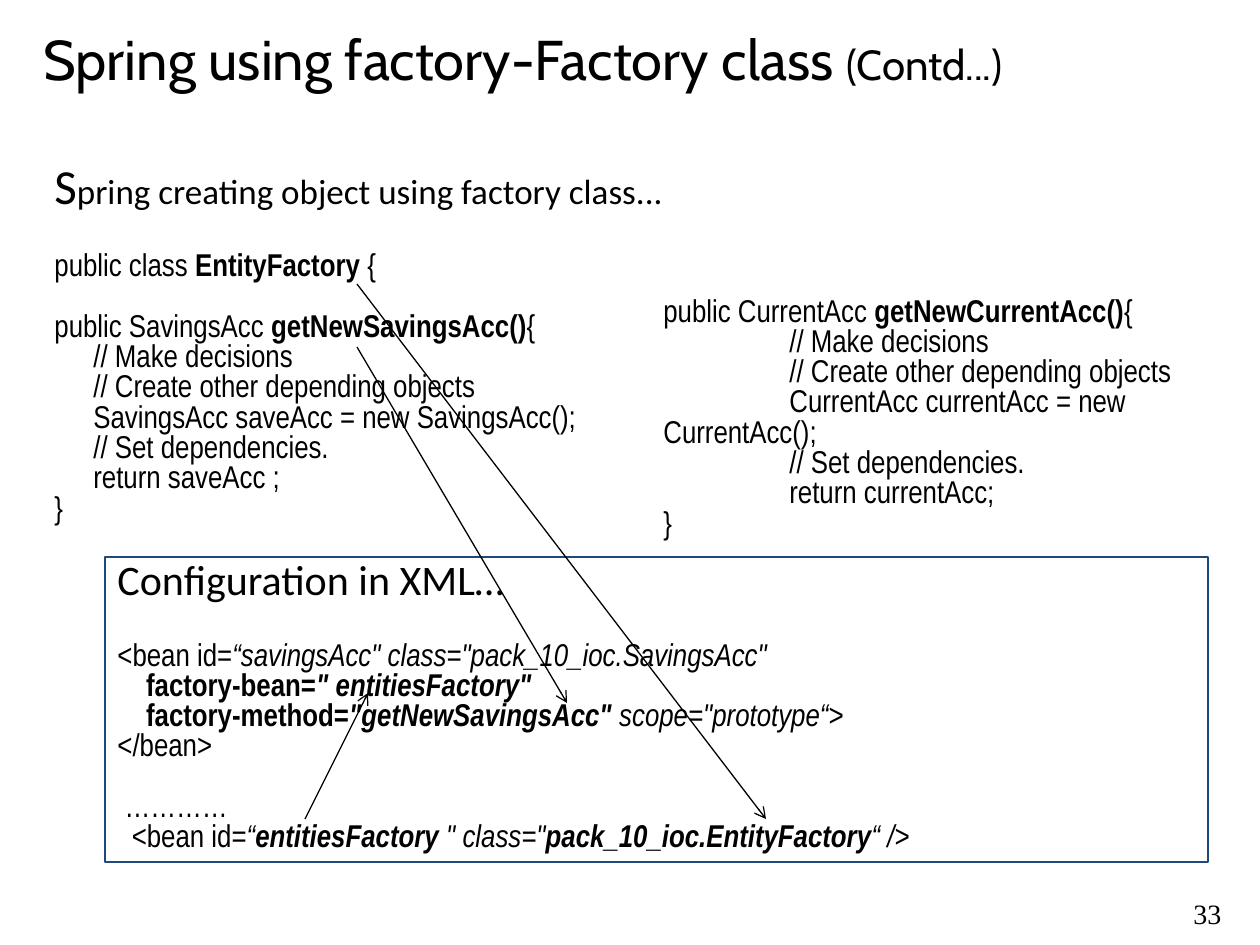
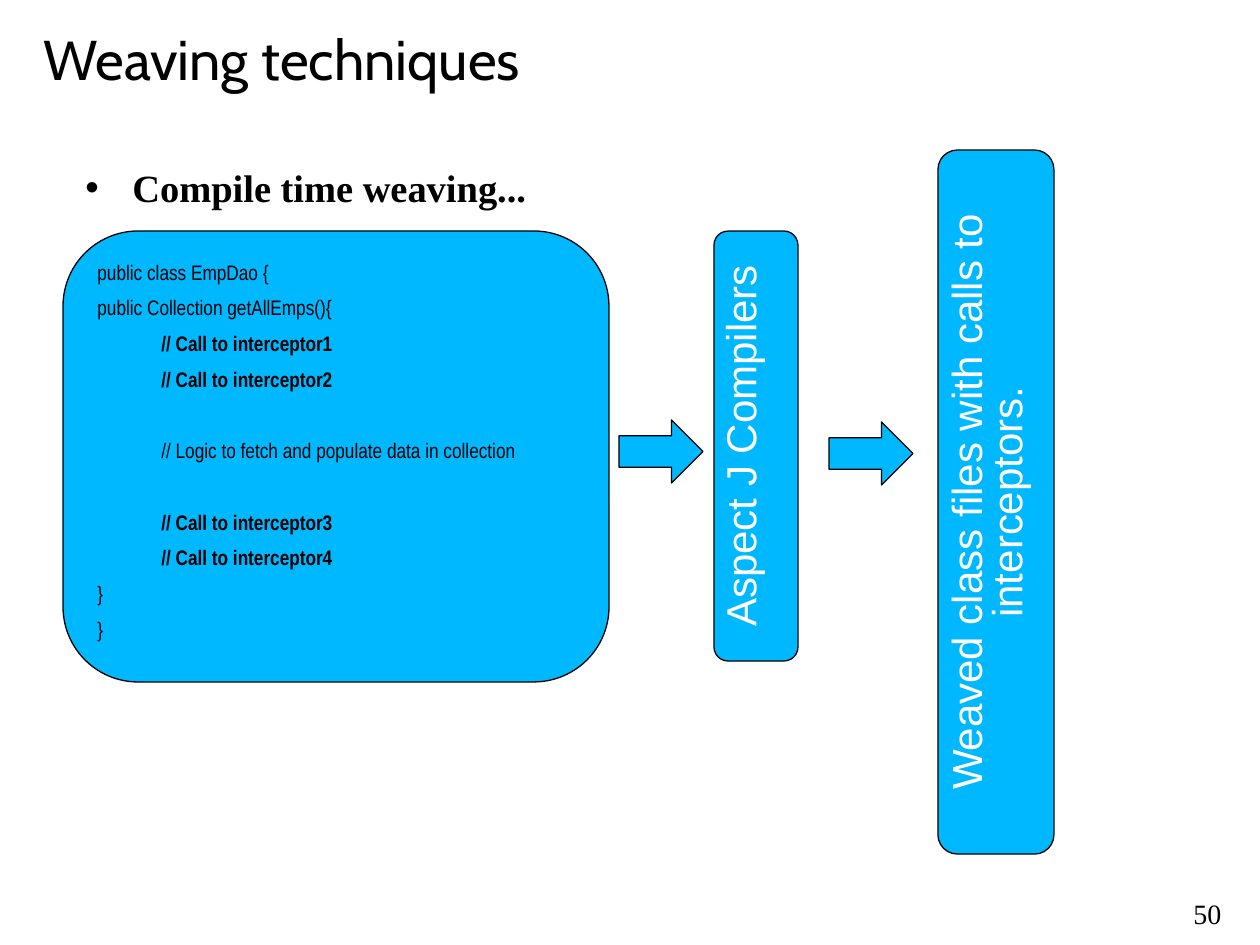
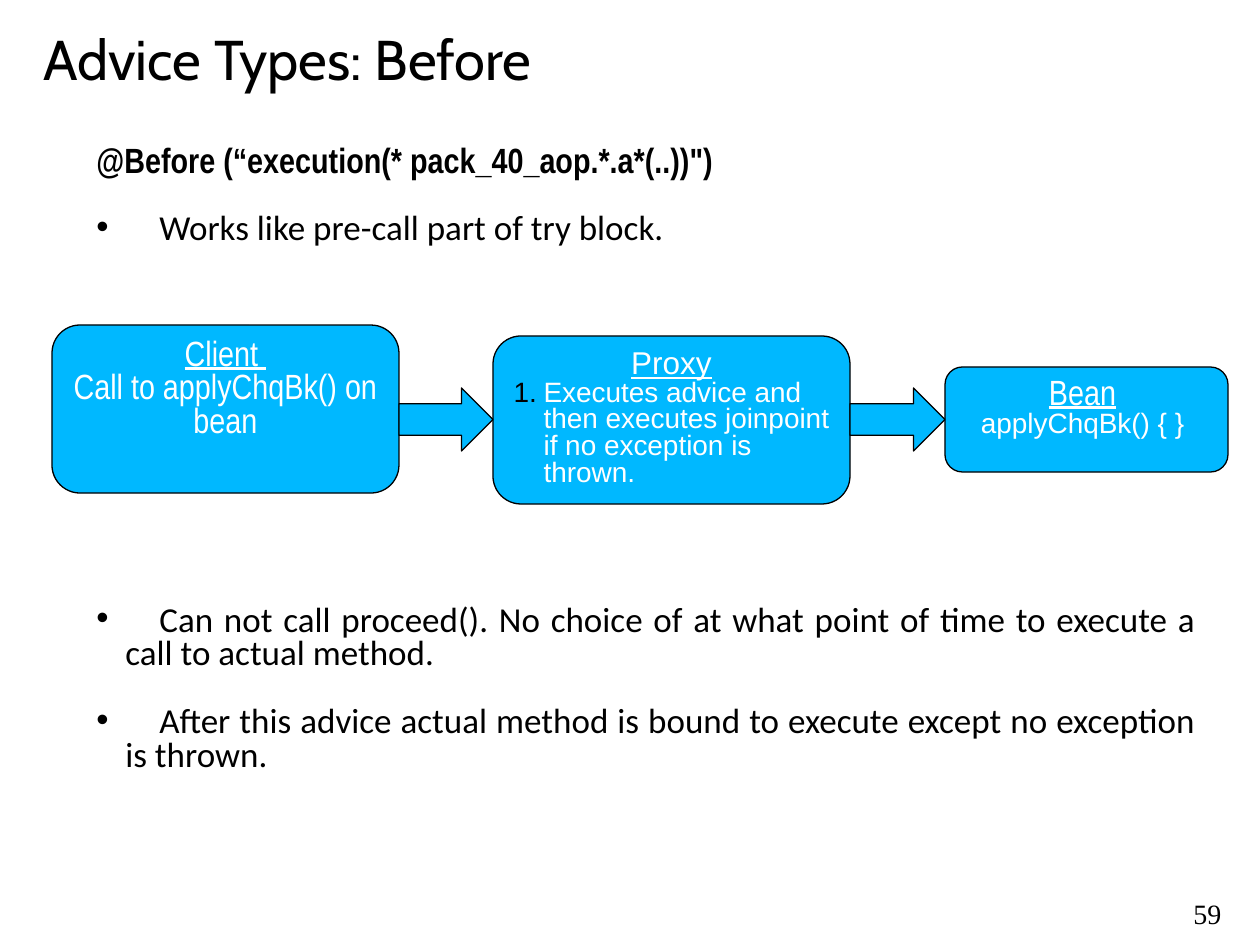
from dataclasses import dataclass
from typing import NamedTuple

from lxml import etree
from pptx import Presentation
from pptx.dml.color import RGBColor
from pptx.enum.shapes import MSO_CONNECTOR, MSO_SHAPE
from pptx.enum.text import MSO_ANCHOR, PP_ALIGN
from pptx.oxml.ns import qn
from pptx.util import Emu, Pt

LEFT, CENTER, JUSTIFY = PP_ALIGN.LEFT, PP_ALIGN.CENTER, PP_ALIGN.JUSTIFY
TOP, MIDDLE = MSO_ANCHOR.TOP, MSO_ANCHOR.MIDDLE
RECTANGLE = MSO_SHAPE.RECTANGLE
ROUNDED = MSO_SHAPE.ROUNDED_RECTANGLE
RIGHT_ARROW = MSO_SHAPE.RIGHT_ARROW
STRAIGHT = MSO_CONNECTOR.STRAIGHT

EMU_PER_PX = 914400 / 126
BLACK, WHITE, CYAN, NAVY = "000000", "FFFFFF", "00B8FF", "1F497D"
TIGHT = 0.8


class Box(NamedTuple):
    left: int
    top: int
    width: int
    height: int

    def inside(self, left, top, width, height):
        return Box(self.left + left, self.top + top, width, height)


class Style(NamedTuple):
    font: str
    size: int
    bold: bool = False
    italic: bool = False
    underline: bool = False
    color: str = BLACK


@dataclass
class Line:
    spans: list
    space: float = 0
    margin: int = 0
    indent: int = 0
    spacing: float = TIGHT
    align: int = LEFT
    bullet: str = ""
    tab: int = 0


TITLE = Style("Cabin", 32)
TITLE_NOTE = Style("Cabin", 24)
PAGE_NUMBER = Style("Times New Roman", 16)
HEADING = Style("Times New Roman", 22, bold=True)
BODY = Style("Calibri", 20)
CODE = Style("Arial Narrow", 18)
CODE_BOLD = CODE._replace(bold=True)
CODE_ITALIC = CODE._replace(italic=True)
CODE_BOLD_ITALIC = CODE_BOLD._replace(italic=True)
SMALL_CODE = Style("Arial Narrow", 12)
SMALL_CODE_BOLD = SMALL_CODE._replace(bold=True)
STAGE = Style("Arial", 24, color=WHITE)
NODE = Style("Arial Narrow", 20, color=WHITE)
NODE_NAME = NODE._replace(underline=True)
NODE_SMALL = Style("Arial", 16, color=WHITE)
PROXY_NAME = Style("Arial", 18, underline=True, color=WHITE)


def px(length):
    return Emu(round(length * EMU_PER_PX))


def rgb(value):
    return RGBColor.from_string(value)


def add_marks(para, line):
    properties = para._p.get_or_add_pPr()
    properties.set("marL", str(px(line.margin)))
    properties.set("indent", str(px(line.indent)))
    if line.bullet:
        color = etree.SubElement(properties, qn("a:buClr"))
        etree.SubElement(color, qn("a:srgbClr"), val=BLACK)
        if line.bullet == "1.":
            etree.SubElement(properties, qn("a:buAutoNum"), type="arabicPeriod")
        else:
            etree.SubElement(properties, qn("a:buFont"), typeface="Arial")
            etree.SubElement(properties, qn("a:buChar"), char=line.bullet)
    if line.tab:
        tabs = etree.SubElement(properties, qn("a:tabLst"))
        etree.SubElement(tabs, qn("a:tab"), pos=str(px(line.tab)), algn="l")


def write(shape, lines, anchor=TOP, wrap=True):
    frame = shape.text_frame
    frame.word_wrap = wrap
    frame.vertical_anchor = anchor
    for number, line in enumerate(lines):
        para = frame.add_paragraph() if number else frame.paragraphs[0]
        add_marks(para, line)
        para.alignment = line.align
        para.line_spacing = line.spacing
        if line.space:
            para.space_before = Pt(line.space)
        for text, style in line.spans:
            span = para.add_run()
            span.text = text
            font = span.font
            font.name, font.size = style.font, Pt(style.size)
            font.bold, font.italic = style.bold, style.italic
            font.underline = style.underline
            font.color.rgb = rgb(style.color)


def add_text(page, box, lines, anchor=TOP, wrap=True):
    shape = page.shapes.add_textbox(*map(px, box))
    write(shape, lines, anchor, wrap)
    return shape


def add_block(page, kind, box, lines=(), fill=CYAN, line=BLACK, weight=0.75):
    shape = page.shapes.add_shape(kind, *map(px, box))
    shape.shadow.inherit = False
    if fill:
        shape.fill.solid()
        shape.fill.fore_color.rgb = rgb(fill)
    else:
        shape.fill.background()
    shape.line.color.rgb = rgb(line)
    shape.line.width = Pt(weight)
    write(shape, lines)
    return shape


def add_upright_block(page, box, text):
    left = box.left + (box.width - box.height) // 2
    top = box.top + (box.height - box.width) // 2
    lines = [Line([(text, STAGE)], align=CENTER)]
    shape = add_block(page, ROUNDED, Box(left, top, box.height, box.width), lines)
    shape.rotation = 270


def add_pointer(page, box, start, end):
    points = [px(box.left + start[0]), px(box.top + start[1]),
              px(box.left + end[0]), px(box.top + end[1])]
    pointer = page.shapes.add_connector(STRAIGHT, *points)
    pointer.line.color.rgb = rgb(BLACK)
    pointer.line.width = Pt(0.75)
    etree.SubElement(pointer.line._get_or_add_ln(), qn("a:tailEnd"), type="arrow")
    etree.SubElement(pointer._element.spPr, qn("a:effectLst"))


def add_page(deck, number, title, note=""):
    page = deck.slides.add_slide(deck.slide_layouts[6])
    spans = [(title, TITLE)] + ([(note, TITLE_NOTE)] if note else [])
    add_text(page, Box(31, 0, 1197, 116), [Line(spans, spacing=1.0)], MIDDLE)
    add_text(page, Box(1137, 897, 141, 40),
             [Line([(str(number), PAGE_NUMBER)], align=CENTER)], wrap=False)
    return page


def savings_code(page, box):
    body = ["// Make decisions", "// Create other depending objects",
            "SavingsAcc saveAcc = new SavingsAcc();", "// Set dependencies.",
            "return saveAcc ;"]
    add_text(page, box, [
        Line([("S", BODY._replace(size=28)),
              ("pring creating object using factory class...", BODY)], spacing=0.86),
        Line([("public class ", CODE), ("EntityFactory", CODE_BOLD), (" {", CODE)],
             space=21.7),
        Line([("public SavingsAcc ", CODE), ("getNewSavingsAcc()", CODE_BOLD),
              ("{", CODE)], space=17.3),
        *[Line([(text, CODE)], margin=39) for text in body],
        Line([("}", CODE)]),
    ])


def current_code(page, box):
    body = ["// Make decisions", "// Create other depending objects",
            "CurrentAcc currentAcc = new CurrentAcc();", "// Set dependencies.",
            "return currentAcc;"]
    shape = add_text(page, box, [
        Line([("public CurrentAcc ", CODE), ("getNewCurrentAcc()", CODE_BOLD),
              ("{", CODE)], margin=63),
        *[Line([(text, CODE)], margin=63, indent=126) for text in body],
        Line([("}", CODE)], margin=63),
    ])
    shape.text_frame.margin_top = px(67)


def xml_configuration(page, box):
    add_block(page, RECTANGLE, box, [
        Line([("Configuration in XML…", BODY._replace(size=24))]),
        Line([("<bean id=", CODE),
              ("“savingsAcc\" class=\"pack_10_ioc.SavingsAcc\"", CODE_ITALIC)], space=22),
        Line([("    factory-bean=", CODE_BOLD),
              ("\" entitiesFactory\"", CODE_BOLD_ITALIC)]),
        Line([("    factory-method=", CODE_BOLD),
              ("\"getNewSavingsAcc\" ", CODE_BOLD_ITALIC),
              ("scope=\"prototype“>", CODE_ITALIC)]),
        Line([("</bean>", CODE)]),
        Line([(" …………", CODE)], space=17.3),
        Line([("  <bean id=", CODE), ("“", CODE_ITALIC),
              ("entitiesFactory ", CODE_BOLD_ITALIC), ("\" class=\"", CODE_ITALIC),
              ("pack_10_ioc.EntityFactory", CODE_BOLD_ITALIC), ("“ />", CODE_ITALIC)]),
    ], fill=None, line=NAVY, weight=1.25)
    add_pointer(page, box, (200, 262), (263, 136))
    add_pointer(page, box, (252, -273), (661, 262))
    add_pointer(page, box, (252, -210), (462, 146))


def factory_page(deck):
    page = add_page(deck, 33, "Spring using factory-Factory class ", "(Contd...)")
    savings_code(page, Box(42, 158, 672, 388))
    current_code(page, Box(588, 231, 672, 305))
    xml_configuration(page, Box(105, 557, 1103, 305))


def woven_class(page, box):
    rows = [("// Call to interceptor1", SMALL_CODE_BOLD, 6),
            ("// Call to interceptor2", SMALL_CODE_BOLD, 6),
            ("// Logic to fetch and populate data in collection", SMALL_CODE, 26.4),
            ("// Call to interceptor3", SMALL_CODE_BOLD, 26.4),
            ("// Call to interceptor4", SMALL_CODE_BOLD, 6)]
    add_block(page, ROUNDED, box, [
        Line([("public class EmpDao {", SMALL_CODE)], spacing=1.0),
        Line([("public Collection getAllEmps(){", SMALL_CODE)], 6, spacing=1.0),
        *[Line([(text, style)], space, margin=64, spacing=1.0)
          for text, style, space in rows],
        *[Line([("}", SMALL_CODE)], 6, spacing=1.0) for _ in range(2)],
    ])


def weaving_flow(page, box):
    woven_class(page, box.inside(0, 81, 546, 451))
    add_upright_block(page, box.inside(651, 81, 84, 430), "Aspect J Compilers")
    add_upright_block(page, box.inside(875, 0, 116, 704),
                      "Weaved class files with calls to interceptors.")
    for left, top in ((556, 270), (766, 272)):
        add_block(page, RIGHT_ARROW, box.inside(left, top, 84, 63))


def weaving_page(deck):
    page = add_page(deck, 50, "Weaving techniques")
    add_text(page, Box(73, 158, 1113, 84),
             [Line([("Compile time weaving...", HEADING)], margin=47, indent=-47,
                   spacing=1.0, bullet="•")])
    weaving_flow(page, Box(63, 150, 991, 704))


def bullet_line(text, space=0, align=JUSTIFY):
    return Line([("\t" + text, BODY)], space, 29, -29, align=align, bullet="•", tab=18)


def advice_flow(page, box):
    nodes = [
        (box.inside(0, 0, 347, 168), [
            Line([("Client ", NODE_NAME)], align=CENTER),
            Line([("Call to applyChqBk() on bean", NODE)], align=CENTER)]),
        (box.inside(441, 11, 357, 168), [
            Line([("Proxy", PROXY_NAME)], align=CENTER),
            Line([("Executes advice and then executes joinpoint if no exception "
                   "is thrown.", NODE_SMALL)], margin=30, indent=-30, bullet="1.")]),
        (box.inside(893, 42, 283, 105), [
            Line([("Bean", NODE_NAME), (" ", NODE)], align=CENTER),
            Line([("applyChqBk() { } ", NODE_SMALL)], align=CENTER)]),
    ]
    for node, lines in nodes:
        add_block(page, ROUNDED, node, lines)
    for (source, _), (target, _) in zip(nodes, nodes[1:]):
        left = source.left + source.width
        add_block(page, RIGHT_ARROW,
                  Box(left, box.top + 63, target.left - left, 63))


def advice_page(deck):
    page = add_page(deck, 59, "Advice Types: Before")
    add_text(page, Box(84, 140, 1124, 113), [
        Line([("@Before (“execution(* pack_40_aop.*.a*(..))\")",
               CODE_BOLD._replace(size=20))]),
        bullet_line("Works like pre-call part of try block.", 19.5, LEFT),
    ])
    advice_flow(page, Box(52, 325, 1176, 179))
    add_text(page, Box(84, 599, 1124, 186), [
        bullet_line("Can not call proceed(). No choice of at what point of time "
                    "to execute a call to actual method."),
        bullet_line("After this advice actual method is bound to execute except "
                    "no exception is thrown.", 19.5),
    ])


def main():
    deck = Presentation()
    deck.slide_width, deck.slide_height = px(1260), px(945)
    factory_page(deck)
    weaving_page(deck)
    advice_page(deck)
    deck.save("out.pptx")


if __name__ == "__main__":
    main()
